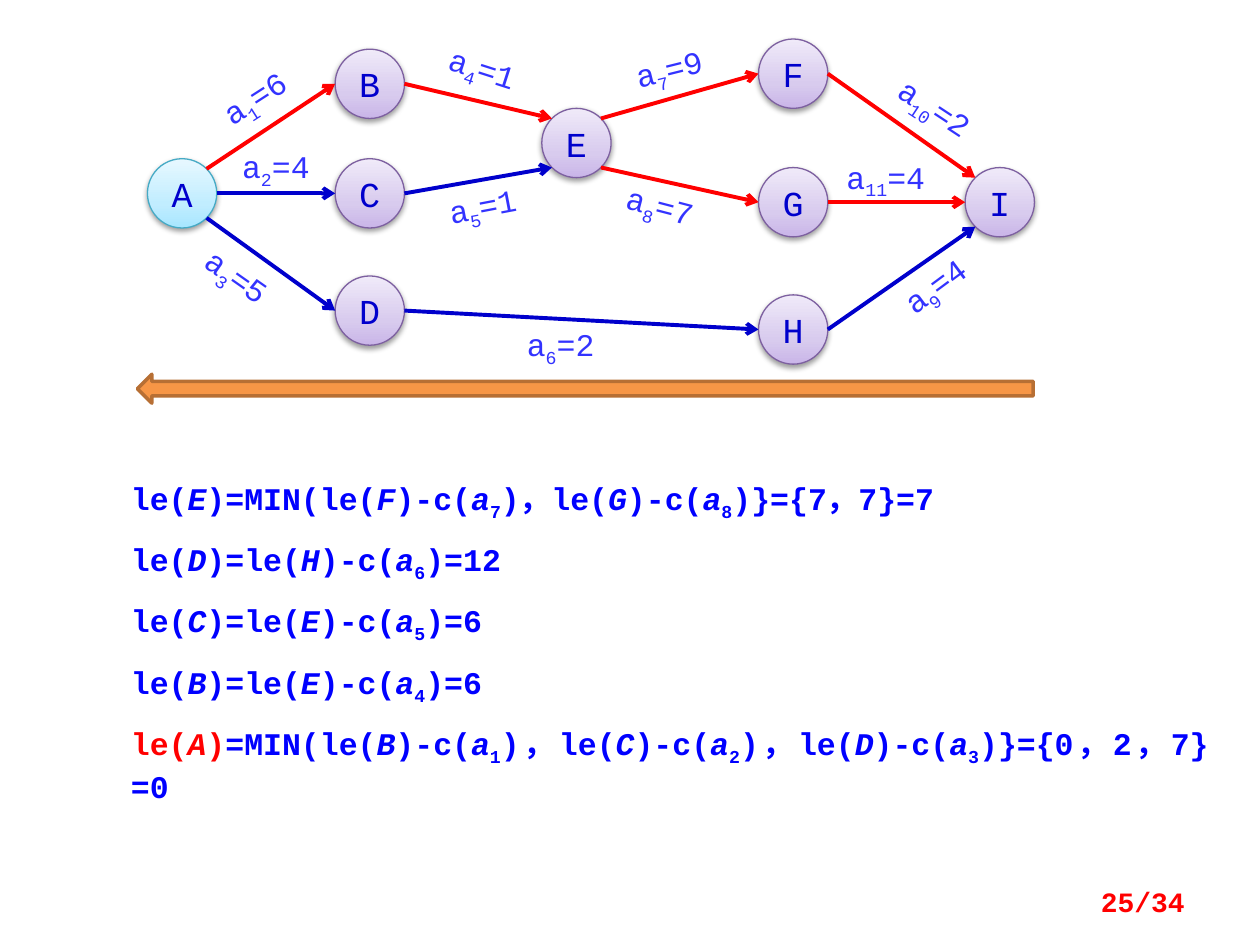
import copy
import itertools
import math
from dataclasses import dataclass

import pptx
import pptx.dml.color
import pptx.enum.shapes
import pptx.enum.text
import pptx.oxml
import pptx.oxml.ns
import pptx.util

SHAPES = pptx.enum.shapes.MSO_SHAPE
ALIGN = pptx.enum.text.PP_ALIGN
ANCHOR = pptx.enum.text.MSO_ANCHOR
COLUMNS, ROWS = 100, 75
NODE_SIZE = 5.5
LABEL_SIZE = (9.4, 3.1)


@dataclass
class Theme:
    font: str = "Courier New"
    critical: str = "FF0000"
    plain: str = "0000CC"
    label: str = "3333FF"
    formula: str = "0000FF"
    arrow_fill: str = "F79646"
    arrow_line: str = "B76F34"
    start_stops: tuple = ("A7E6FF", "C1EDFF", "E7F8FF")
    start_line: str = "46AAC5"
    node_stops: tuple = ("C9B5E8", "D8CBEE", "F0EAF9")
    node_line: str = "7D60A0"
    node_size: int = 20
    body_size: int = 18
    page_size: int = 16


def rgb(value):
    return pptx.dml.color.RGBColor.from_string(value)


def find(shape, tag):
    return shape._element.spPr.find(".//" + pptx.oxml.ns.qn(tag))


def add_xml(parent, xml):
    ns = pptx.oxml.ns.nsdecls("a")
    parent.append(pptx.oxml.parse_xml(xml.replace(" ", f" {ns} ", 1)))


class SlideBuilder:
    """Lengths are columns and rows of a 100 by 75 grid."""

    def __init__(self, deck, theme):
        self.theme = theme
        self.column = deck.slide_width / COLUMNS
        self.row = deck.slide_height / ROWS
        self.slide = deck.slides.add_slide(deck.slide_layouts[6])

    def place(self, x, y):
        return round(x * self.column), round(y * self.row)

    def add_runs(self, paragraph, text, size, color, bold=False):
        """In text, * toggles italic, _ subscript and ! the critical colour."""
        on = dict.fromkeys("*_!", False)
        for is_mark, part in itertools.groupby(text, lambda char: char in on):
            if is_mark:
                for mark in part:
                    on[mark] = not on[mark]
                continue
            run = paragraph.add_run()
            run.text = "".join(part)
            style = {"name": self.theme.font, "size": pptx.util.Pt(size),
                     "bold": bold, "italic": on["*"]}
            for key, value in style.items():
                setattr(run.font, key, value)
            run.font.color.rgb = rgb(self.theme.critical if on["!"] else color)
            if on["_"]:
                run.font._element.set("baseline", "-25000")

    def shape(self, kind, box, line_color, line_width):
        shape = self.slide.shapes.add_shape(
            kind, *self.place(*box[:2]), *self.place(*box[2:]))
        shape.shadow.inherit = False
        shape.line.color.rgb = rgb(line_color)
        shape.line.width = pptx.util.Pt(line_width)
        return shape

    def node(self, name, center, stops, line_color):
        corner = [value - NODE_SIZE / 2 for value in center]
        node = self.shape(SHAPES.OVAL, (*corner, NODE_SIZE, NODE_SIZE), line_color, 0.75)
        node.fill.gradient()
        node.fill.gradient_angle = 90
        stop_list = find(node, "a:gsLst")
        stop_list.insert(1, copy.deepcopy(stop_list[0]))
        for stop, position, color in zip(node.fill.gradient_stops, (0, 0.35, 1), stops):
            stop.position = position
            stop.color.rgb = rgb(color)
        add_xml(find(node, "a:effectLst"),
                '<a:outerShdw blurRad="40000" dist="20000" dir="5400000" rotWithShape="0">'
                '<a:srgbClr val="000000"><a:alpha val="38000"/></a:srgbClr></a:outerShdw>')
        node.text_frame.vertical_anchor = ANCHOR.MIDDLE
        paragraph = node.text_frame.paragraphs[0]
        paragraph.alignment = ALIGN.CENTER
        self.add_runs(paragraph, name, self.theme.node_size, self.theme.plain)

    def edge(self, start, end, color):
        edge = self.slide.shapes.add_connector(
            pptx.enum.shapes.MSO_CONNECTOR.STRAIGHT, *self.place(*start), *self.place(*end))
        edge.line.color.rgb = rgb(color)
        edge.line.width = pptx.util.Pt(2.25)
        add_xml(find(edge, "a:ln"), '<a:tailEnd type="arrow"/>')
        add_xml(edge._element.spPr, "<a:effectLst />")

    def text(self, box, lines, size, color, align, bold=False, rotation=0,
             gap=0, **frame_format):
        holder = self.slide.shapes.add_textbox(*self.place(*box[:2]), *self.place(*box[2:]))
        holder.rotation = rotation
        frame = holder.text_frame
        for key, value in {"word_wrap": True, **frame_format}.items():
            setattr(frame, key, value)
        for index, line in enumerate(lines):
            paragraph = frame.add_paragraph() if index else frame.paragraphs[0]
            paragraph.alignment = align
            if index:
                paragraph.space_before = pptx.util.Pt(gap)
            self.add_runs(paragraph, line, size, color, bold)

    def label(self, text, corner, rotation):
        margins = {f"margin_{side}": 0 for side in ("left", "top", "right", "bottom")}
        self.text((*corner, *LABEL_SIZE), [text], self.theme.body_size,
                  self.theme.label, ALIGN.CENTER, rotation=rotation, **margins)

    def back_arrow(self, box):
        arrow = self.shape(SHAPES.LEFT_ARROW, box, self.theme.arrow_line, 2)
        arrow.fill.solid()
        arrow.fill.fore_color.rgb = rgb(self.theme.arrow_fill)


NODES = {"A": (14.45, 15.35), "B": (29.35, 6.65), "C": (29.35, 15.35),
         "D": (29.35, 24.65), "E": (45.75, 11.35), "F": (62.95, 5.85),
         "G": (62.95, 16.05), "H": (62.95, 26.15), "I": (79.35, 16.05)}

# Ends, angle on each rim, critical or not, cost, label corner and rotation
ACTIVITIES = [
    ("AB", -45, 180, True, 6, (15.5, 6.2), 327.3),
    ("AC", 0, 180, False, 4, (17.2, 11.7), 0),
    ("AD", 45, 180, False, 5, (14.1, 20.4), 35.2),
    ("BE", 0, 225, True, 1, (33.6, 3.9), 17.8),
    ("CE", 0, 135, False, 1, (33.6, 14.8), 349.2),
    ("DH", 0, 180, False, 2, (39.8, 25.8), 0),
    ("EF", -45, 180, True, 9, (48.4, 3.9), 346),
    ("EG", 45, 180, True, 7, (47.7, 14.8), 14.7),
    ("HI", 0, 135, False, 4, (69.5, 21.1), 323.4),
    ("FI", 0, 225, True, 2, (69.5, 7), 33.4),
    ("GI", 0, 180, True, 4, (65.6, 12.5), 0),
]

FORMULAS = [
    "le(*E*)=MIN(le(*F*)-c(*a*_7_)，le(*G*)-c(*a*_8_)}={7，7}=7",
    "le(*D*)=le(*H*)-c(*a*_6_)=12",
    "le(*C*)=le(*E*)-c(*a*_5_)=6",
    "le(*B*)=le(*E*)-c(*a*_4_)=6",
    "!le(*A*)!=MIN(le(*B*)-c(*a*_1_)，le(*C*)-c(*a*_2_)，le(*D*)-c(*a*_3_)}={0，2，7}=0",
]


def rim_point(name, degrees):
    x, y = NODES[name]
    angle = math.radians(degrees)
    return x + NODE_SIZE / 2 * math.cos(angle), y + NODE_SIZE / 2 * math.sin(angle)


def main():
    deck = pptx.Presentation()
    deck.slide_width, deck.slide_height = pptx.util.Inches(10), pptx.util.Inches(7.5)
    theme = Theme()
    builder = SlideBuilder(deck, theme)

    # Formulas for the latest event times
    builder.text((9.4, 37.5, 87.5, 22.2), FORMULAS, theme.body_size, theme.formula,
                 ALIGN.JUSTIFY, bold=True, gap=10.5)

    # Activity network
    for name, center in NODES.items():
        if name == "A":
            builder.node(name, center, theme.start_stops, theme.start_line)
        else:
            builder.node(name, center, theme.node_stops, theme.node_line)
    for number, (ends, leave, arrive, critical, cost, corner, turn) in enumerate(ACTIVITIES, 1):
        builder.edge(rim_point(ends[0], leave), rim_point(ends[1], arrive),
                     theme.critical if critical else theme.plain)
        builder.label(f"a_{number}_={cost}", corner, turn)

    # Direction of the backward pass
    builder.back_arrow((10.9, 29.7, 71.1, 2.3))

    # Page number
    builder.text((71.7, 69.5, 23.3, 4), ["25/34"], theme.page_size, theme.critical,
                 ALIGN.RIGHT, bold=True, vertical_anchor=ANCHOR.MIDDLE)

    deck.save("out.pptx")


if __name__ == "__main__":
    main()
